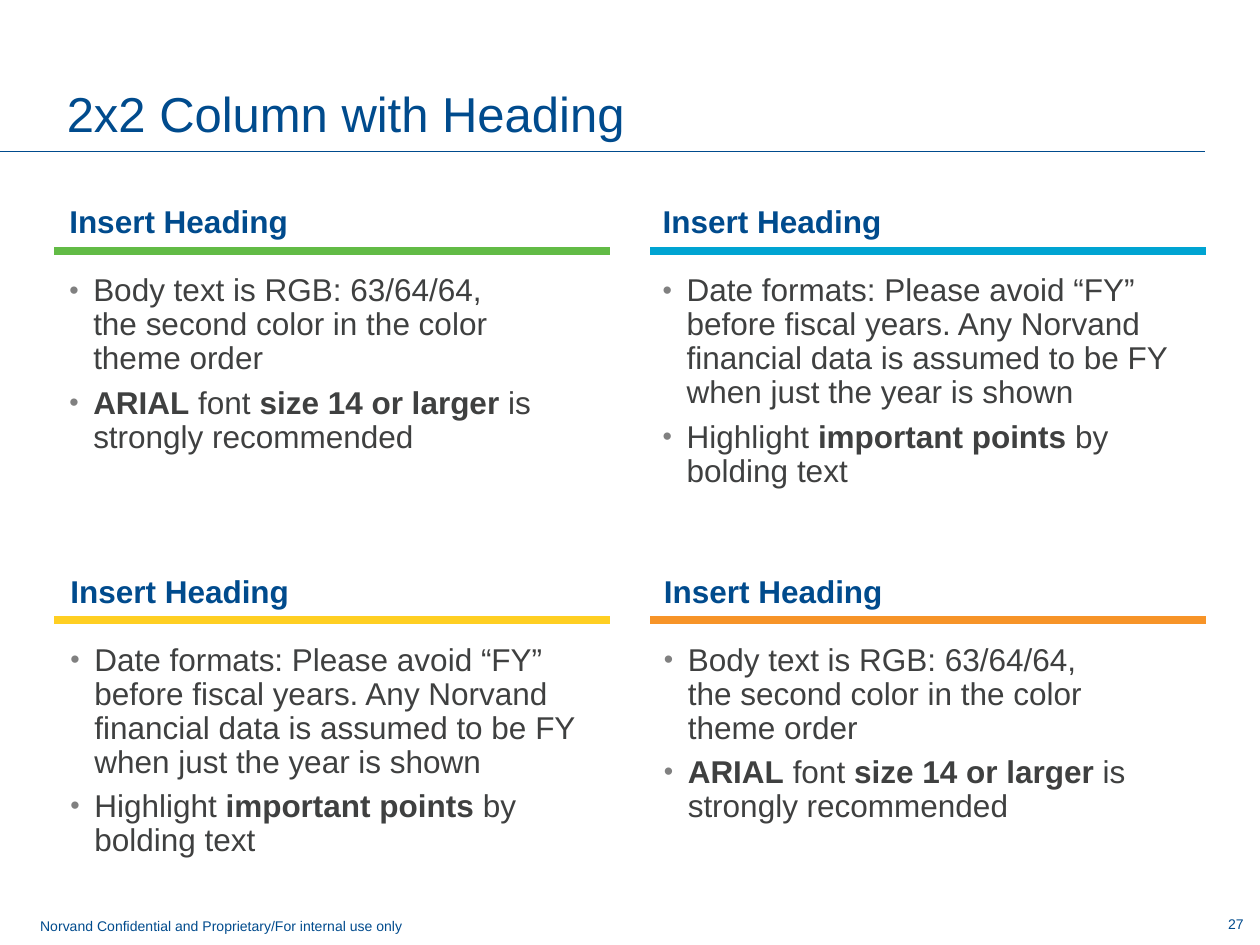
import copy

import pptx
import pptx.dml.color
import pptx.enum.shapes
import pptx.enum.text
import pptx.oxml
import pptx.oxml.ns
import pptx.util

ANCHOR = pptx.enum.text.MSO_ANCHOR
ALIGN = pptx.enum.text.PP_ALIGN
COLUMNS, ROWS = 100, 75

BODY_TEXT = [
    "Body text is RGB: 63/64/64, \nthe second color in the color \ntheme order",
    "**ARIAL** font **size 14 or larger **is strongly recommended",
]
DATE_TEXT = [
    "Date formats: Please avoid “FY” before fiscal years. Any Norvand "
    "financial data is assumed to be FY when just the year is shown",
    "Highlight **important points **by bolding text",
]
# Bar colour and bullets of each panel, row by row
PANELS = [
    [("62BB46", BODY_TEXT), ("00A4D2", DATE_TEXT)],
    [("FFCF22", DATE_TEXT), ("F79428", BODY_TEXT)],
]


def rgb(value):
    return pptx.dml.color.RGBColor.from_string(value)


class Deck:
    """Style and current slide; lengths are grid columns and rows."""

    font, blue, grey, bullet = "Arial", "004B8D", "3F4040", "808080"

    def __init__(self, prs):
        self.col = prs.slide_width / COLUMNS
        self.row = prs.slide_height / ROWS
        self.s = prs.slides.add_slide(prs.slide_layouts.get_by_name("Comparison"))
        self.slots = {ph.placeholder_format.idx: ph for ph in self.s.placeholders}

    def place(self, x, y, w, h):
        return [int(v) for v in (x * self.col, y * self.row, w * self.col, h * self.row)]

    def frame(self, box, slot=None, anchor=ANCHOR.TOP, top=0.05, bottom=0.05):
        """Use the numbered placeholder, or a text box where there is none."""
        at = self.place(*box)
        sp = self.slots.get(slot)
        if sp is None:
            sp = self.s.shapes.add_textbox(*at)
        sp.left, sp.top, sp.width, sp.height = at
        tf = sp.text_frame
        tf.word_wrap, tf.auto_size = True, pptx.enum.text.MSO_AUTO_SIZE.NONE
        tf.vertical_anchor = anchor
        tf.margin_top, tf.margin_bottom = pptx.util.Inches(top), pptx.util.Inches(bottom)
        return tf

    def style(self, r, size, color, bold=False):
        r.font.name, r.font.size, r.font.bold = self.font, pptx.util.Pt(size), bold
        r.font.color.rgb = rgb(color)

    def text(self, tf, text, size, bold=False, align=ALIGN.LEFT, spacing=1.0):
        tf.text = text
        p = tf.paragraphs[0]
        p.alignment, p.line_spacing = align, spacing
        p.space_before = pptx.util.Pt(0)
        self.style(p.runs[0], size, self.blue, bold)

    def title(self, text, box):
        self.text(self.frame(box, 0, ANCHOR.BOTTOM), text, 28, spacing=0.85)

    def heading(self, text, box, slot):
        tf = self.frame(box, slot, ANCHOR.BOTTOM, top=0.1, bottom=0)
        self.text(tf, text, 18, bold=True, spacing=0.9)
        tf.paragraphs[0].space_after = pptx.util.Pt(3)

    def bullets(self, items, box, slot):
        tf = self.frame(box, slot, top=0.1)
        for i, item in enumerate(items):
            p = tf.add_paragraph() if i else tf.paragraphs[0]
            p.line_spacing = 0.9
            p.space_before = pptx.util.Pt(3 if i else 0)
            p.space_after = pptx.util.Pt(3)
            self.add_bullet(p)
            # Every second part between ** marks is bold
            for j, part in enumerate(item.split("**")):
                for k, line in enumerate(part.split("\n") if part else []):
                    if k:
                        p.add_line_break()
                        p._p[-1].append(copy.deepcopy(r._r.rPr))
                    r = p.add_run()
                    r.text = line
                    self.style(r, 18, self.grey, bold=j % 2 == 1)

    def add_bullet(self, p):
        pPr = p._p.get_or_add_pPr()
        indent = pptx.util.Inches(0.19)
        pPr.set("marL", str(indent))
        pPr.set("indent", str(-indent))
        ns = pptx.oxml.ns.nsdecls("a")
        for xml in (
            f'<a:buClr {ns}><a:srgbClr val="{self.bullet}"/></a:buClr>',
            f'<a:buSzPct {ns} val="85000"/>',
            f'<a:buFont {ns} typeface="{self.font}"/>',
            f'<a:buChar {ns} char="•"/>',
        ):
            pPr.append(pptx.oxml.parse_xml(xml))

    def rule(self, x, y, w, color, width):
        x, y, w, _ = self.place(x, y, w, 0)
        line = self.s.shapes.add_connector(
            pptx.enum.shapes.MSO_CONNECTOR.STRAIGHT, x, y, x + w, y)
        line.line.color.rgb, line.line.width = rgb(color), pptx.util.Pt(width)
        ns = pptx.oxml.ns.nsdecls("a")
        line._element.spPr.append(pptx.oxml.parse_xml(f"<a:effectLst {ns}/>"))


def main():
    prs = pptx.Presentation()
    prs.slide_width, prs.slide_height = pptx.util.Inches(10), pptx.util.Inches(7.5)
    deck = Deck(prs)

    # Title and the rule below it
    deck.title("2x2 Column with Heading", (4.3, 1.4, 91.4, 10.4))
    deck.rule(0, 12, 95.6, deck.blue, 0.75)

    # Four panels: heading, coloured bar, bullets
    for i, panels in enumerate(PANELS):
        for j, (color, items) in enumerate(panels):
            x, y = 4.5 + 47.1 * j + 0.1 * i, 29.3 * i
            # The layout's slots serve the top row: 1 and 2 left, 3 and 4 right
            slots = (None, None) if i else (1 + 2 * j, 2 + 2 * j)
            deck.heading("Insert Heading", (x, y + 13.3, 44.1, 5.8), slots[0])
            deck.rule(4.3 + 47.3 * j, y + 19.9, 44.1, color, 4.5)
            deck.bullets(items, (x, y + 20.8, 44.1, 20), slots[1])

    # Footer and page number
    deck.text(deck.frame((2.2, 72.3, 91.2, 2.7)),
              "Norvand Confidential and Proprietary/For internal use only", 8)
    deck.text(deck.frame((93.8, 72.3, 5.9, 2.1), anchor=ANCHOR.MIDDLE),
              "27", 8, align=ALIGN.RIGHT)

    prs.save("out.pptx")


if __name__ == "__main__":
    main()
